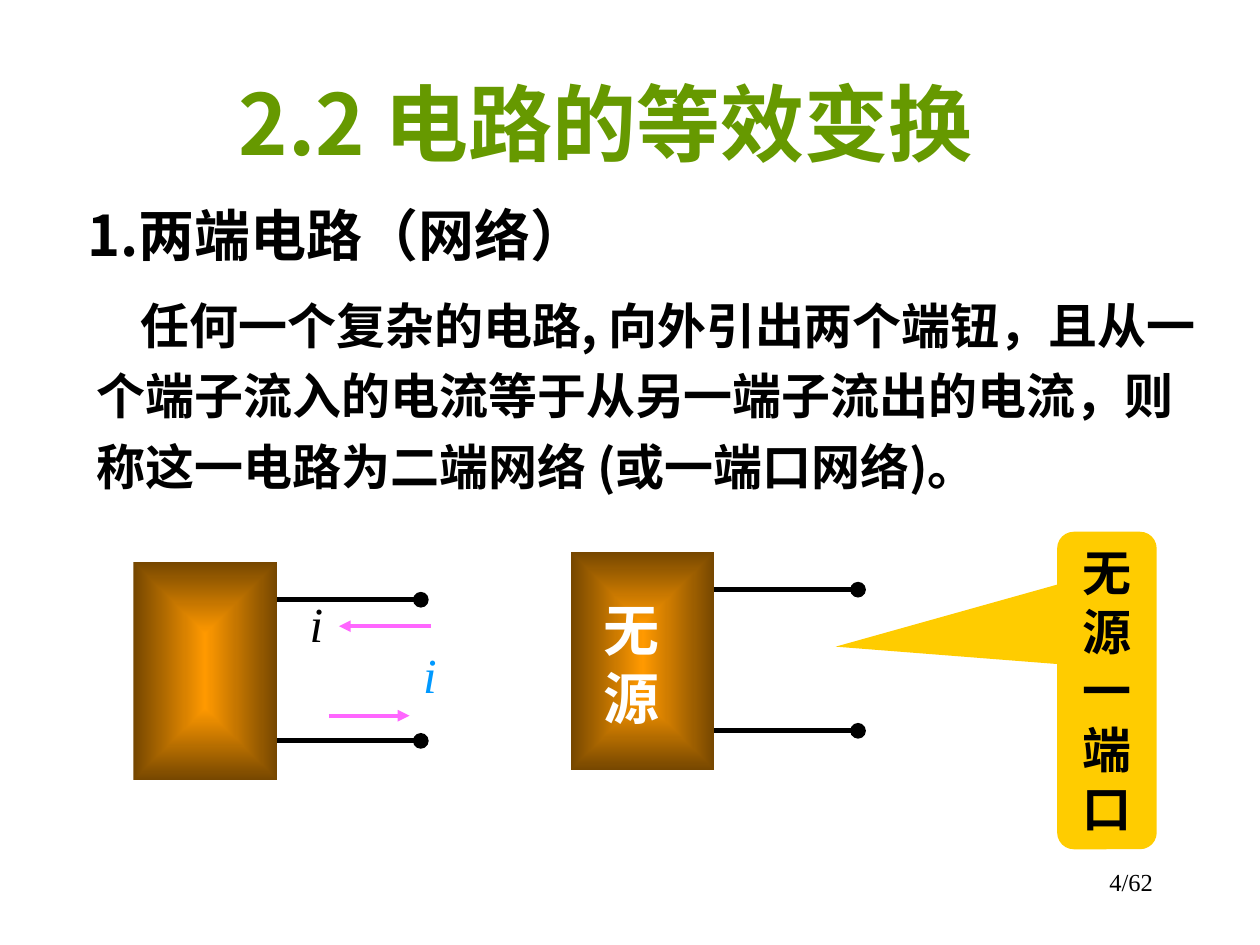
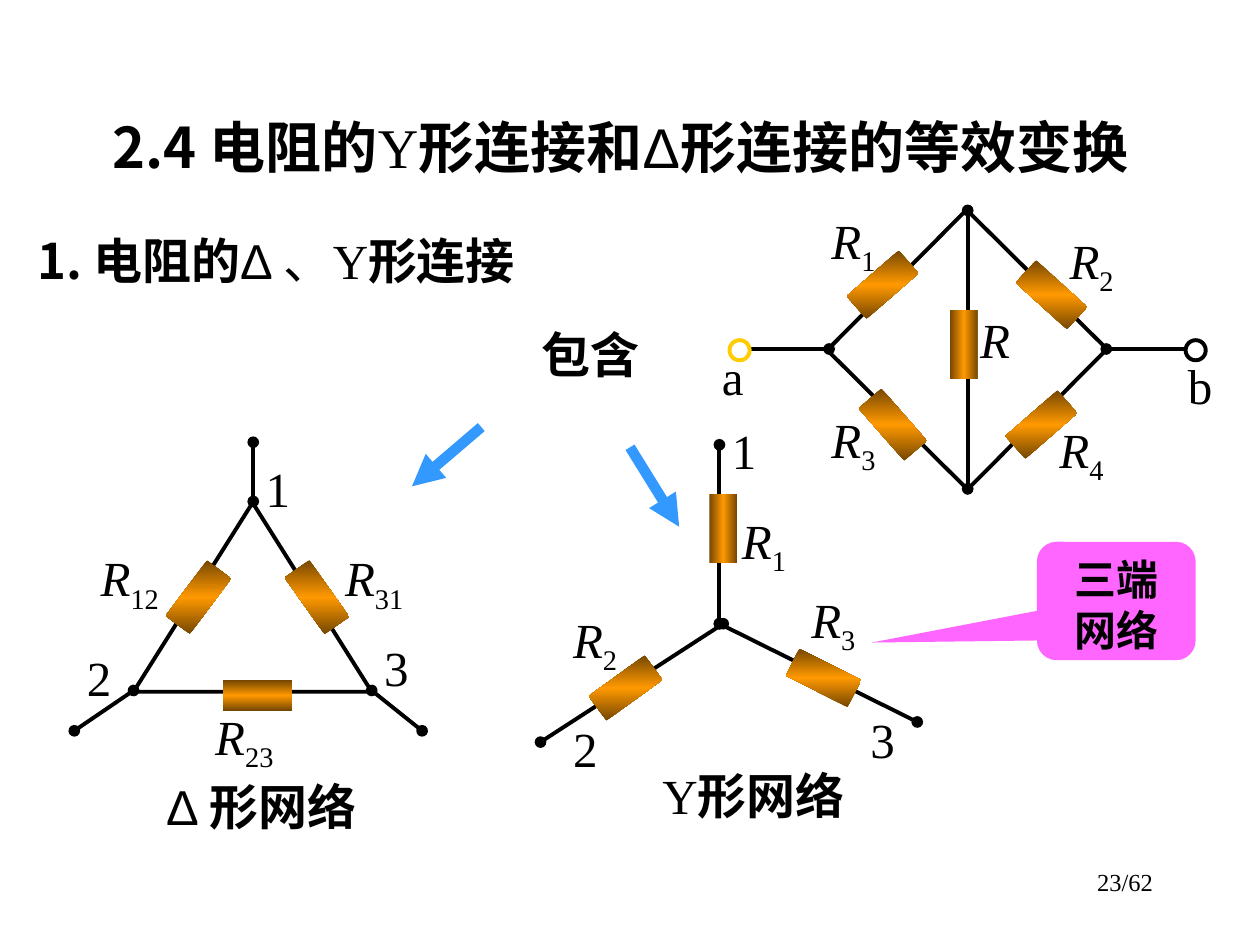
import pptx
import pptx.util
import pptx.dml.color
import pptx.enum.shapes
import pptx.enum.text
import pptx.oxml
import pptx.oxml.ns

Inches = pptx.util.Inches
SHAPE = pptx.enum.shapes.MSO_SHAPE
ALIGN = pptx.enum.text.PP_ALIGN
SANS, SERIF, ARIAL = "Noto Sans CJK SC", "Times New Roman", "Arial"
COLORS = {
    "black": "000000", "white": "FFFFFF", "green": "669900", "orange": "FF9900",
    "brown": "764700", "gold": "FFCC00", "pink": "FF66FF", "sky": "0099FF",
    "blue": "3399FF",
}
PLAIN_SERIF = {"font": SERIF, "bold": False}
PLAIN_ARIAL = {"font": ARIAL, "bold": False}
SUBSCRIPT = {"italic": False, "subscript": True}


def rgb(name):
    return pptx.dml.color.RGBColor.from_string(COLORS[name])


def write(frame, *spans, align=ALIGN.LEFT, line_spacing=1.0, indent=0, **style):
    """Fill a frame with one paragraph; a span is text or (text, style changes)."""
    frame.word_wrap = True
    frame.auto_size = pptx.enum.text.MSO_AUTO_SIZE.NONE
    frame.vertical_anchor = pptx.enum.text.MSO_ANCHOR.TOP
    para = frame.paragraphs[0]
    para.alignment = align
    para.line_spacing = line_spacing
    if indent:
        para._p.get_or_add_pPr().set("indent", str(Inches(indent)))
    for item in spans:
        text, changes = (item, {}) if isinstance(item, str) else item
        look = {"size": 28, "color": "black", "font": SERIF, "bold": False,
                "italic": False, "subscript": False, **style, **changes}
        span = para.add_run()
        span.text = text
        span.font.size = pptx.util.Pt(look["size"])
        span.font.bold = look["bold"]
        span.font.italic = look["italic"]
        span.font.color.rgb = rgb(look["color"])
        span.font.name = look["font"]
        properties = span._r.get_or_add_rPr()
        east_asian = pptx.oxml.parse_xml(
            f'<a:ea {pptx.oxml.ns.nsdecls("a")} typeface="{SANS}"/>')
        properties.find(pptx.oxml.ns.qn("a:latin")).addnext(east_asian)
        if look["subscript"]:
            properties.set("baseline", "-25000")


class SlideBuilder:
    def __init__(self):
        self.deck = pptx.Presentation()
        self.deck.slide_width, self.deck.slide_height = Inches(10), Inches(7.5)
        self.slide = None

    def start(self, page_number, place, *title, **style):
        self.slide = self.deck.slides.add_slide(self.deck.slide_layouts[5])
        heading = self.slide.shapes.title
        heading.left, heading.top, heading.width, heading.height = map(Inches, place)
        write(heading.text_frame, *title, font=SANS, bold=True,
              align=ALIGN.CENTER, **style)
        self.text((7.17, 6.83, 2.08, 0.5), f"{page_number}/62", size=14,
                  align=ALIGN.RIGHT)

    def text(self, place, *spans, **style):
        box = self.slide.shapes.add_textbox(*map(Inches, place))
        write(box.text_frame, *spans, **style)

    def label(self, left, top, width, name, subscript="", **style):
        spans = [name, (subscript, SUBSCRIPT)] if subscript else [name]
        self.text((left, top, width, 0.6), *spans, **style)

    def resistor_labels(self, places):
        for subscript, left, top, width in places:
            self.label(left, top, width, "R", subscript, italic=True)

    def shape(self, kind, place, fill=None, line=None, rotation=0):
        shape = self.slide.shapes.add_shape(kind, *map(Inches, place))
        shape.shadow.inherit = False
        shape.rotation = rotation
        if fill:
            shape.fill.solid()
            shape.fill.fore_color.rgb = rgb(fill)
        else:
            shape.fill.background()
        if line:
            shape.line.color.rgb = rgb(line)
            shape.line.width = pptx.util.Pt(2.25)
        else:
            shape.line.fill.background()
        return shape

    def gradient(self, shape, stops, direction):
        marks = "".join(
            f'<a:gs pos="{position * 1000}"><a:srgbClr val="{COLORS[color]}"/></a:gs>'
            for position, color in stops)
        properties = shape._element.spPr
        properties.replace(
            properties.find(pptx.oxml.ns.qn("a:noFill")),
            pptx.oxml.parse_xml(
                f'<a:gradFill {pptx.oxml.ns.nsdecls("a")} rotWithShape="1">'
                f"<a:gsLst>{marks}</a:gsLst>{direction}</a:gradFill>"))

    def resistor(self, left, top, rotation=0, upright=False):
        """Draw a resistor whose shading runs down the page, or across if upright."""
        size = (0.22, 0.55) if upright else (0.55, 0.24)
        shape = self.shape(SHAPE.RECTANGLE, (left, top, *size), rotation=rotation)
        angle = 0 if upright else (90 - rotation) % 360
        self.gradient(shape, [(0, "brown"), (50, "orange"), (100, "brown")],
                      f'<a:lin ang="{round(angle * 60000)}" scaled="1"/>')

    def line(self, start, end, color="black", width=2.25, head=None, tail=None):
        line = self.slide.shapes.add_connector(
            pptx.enum.shapes.MSO_CONNECTOR.STRAIGHT, *map(Inches, (*start, *end)))
        line.line.color.rgb = rgb(color)
        line.line.width = pptx.util.Pt(width)
        outline = line.line._get_or_add_ln()
        for tag, kind in (("headEnd", head), ("tailEnd", tail)):
            if kind:
                outline.append(pptx.oxml.parse_xml(
                    f'<a:{tag} {pptx.oxml.ns.nsdecls("a")} type="{kind}"/>'))
        line._element.spPr.append(pptx.oxml.parse_xml(
            f'<a:effectLst {pptx.oxml.ns.nsdecls("a")}/>'))

    def wire(self, start, end):
        self.line(start, end, head="oval", tail="oval")

    def callout(self, place, pointer, text, fill=None, size=28):
        shape = self.shape(SHAPE.ROUNDED_RECTANGULAR_CALLOUT, place, fill)
        for index, value in enumerate((*pointer, 0.167)):
            shape.adjustments[index] = value
        write(shape.text_frame, text, size=size, font=ARIAL, bold=True,
              align=ALIGN.CENTER)

    def one_port(self, left, top):
        """Draw a network block with two terminals on its right."""
        width = 1.14
        block = self.shape(SHAPE.RECTANGLE, (left, top, width, 1.73))
        self.gradient(block, [(0, "orange"), (100, "brown")],
                      '<a:path path="rect"><a:fillToRect l="50000" t="50000" '
                      'r="50000" b="50000"/></a:path>')
        for drop in (0.3, 1.42):
            self.line((left + width, top + drop), (left + 2 * width, top + drop),
                      width=3, tail="oval")


def build_two_terminal_slide(builder):
    builder.start(4, (1.22, 0.52, 7.17, 0.9), "2.2 电路的等效变换",
                  size=48, color="green")
    builder.text((0.67, 2.2, 8.98, 1.78),
                 "任何一个复杂的电路, 向外引出两个端钮，且从一个端子流入的电流等于"
                 "从另一端子流出的电流，则称这一电路为二端网络 (或一端口网络)。",
                 font=SANS, bold=True, line_spacing=1.2, indent=0.35)
    builder.text((0.43, 1.54, 4.49, 0.64), "1.两端电路（网络）", size=32,
                 font=SANS, bold=True, align=ALIGN.CENTER)
    builder.one_port(4.53, 4.38)
    builder.text((4.69, 4.68, 0.73, 1.17), "无源", size=32, font=ARIAL,
                 color="white", bold=True)
    builder.callout((8.39, 4.22, 0.79, 2.52), (-2.725, -0.138), "无源一端口", "gold")
    builder.one_port(1.06, 4.46)
    for start, end in (((3.42, 4.97), (2.69, 4.97)), ((2.61, 5.68), (3.25, 5.68))):
        builder.line(start, end, "pink", tail="triangle")
    builder.label(3.26, 5.07, 0.41, "i", color="sky", italic=True)
    builder.label(2.36, 4.66, 0.41, "i", italic=True)


def draw_bridge(builder):
    left, right, middle = 6.58, 8.78, 2.77
    builder.line((5.95, middle), (left, middle), tail="oval")
    builder.wire((7.68, 1.67), (7.68, 3.88))
    builder.line((right, middle), (9.41, middle), head="oval")
    for terminal, color in ((9.41, "black"), (5.79, "gold")):
        builder.shape(SHAPE.OVAL, (terminal, 2.7, 0.16, 0.16), line=color)
    builder.label(9.33, 2.77, 0.39, "b")
    builder.label(5.63, 2.7, 0.39, "a")
    builder.shape(SHAPE.RECTANGLE, (6.89, 1.99, 1.57, 1.57), line="black",
                  rotation=44.8)
    builder.resistor(7.54, 2.46, upright=True)
    for place in ((7.99, 3.25, 318.8), (6.81, 3.25, 48.8),
                  (8.07, 2.22, 42.3), (6.73, 2.14, 318.8)):
        builder.resistor(*place)
    builder.resistor_labels([
        ("1", 6.5, 1.62, 0.79), ("2", 8.39, 1.78, 0.79), ("3", 6.5, 3.2, 0.79),
        ("4", 8.31, 3.28, 0.79), ("", 7.68, 2.41, 0.39)])


def draw_delta(builder):
    builder.shape(SHAPE.ISOSCELES_TRIANGLE, (1.06, 3.99, 1.89, 1.5), line="black")
    for start, end in (((0.59, 5.8), (1.06, 5.48)), ((3.35, 5.8), (2.95, 5.48)),
                       ((2.01, 3.98), (2.01, 3.51))):
        builder.wire(start, end)
    for place in ((2.24, 4.62, 54.8), (1.3, 4.62, 306.8), (1.77, 5.4)):
        builder.resistor(*place)
    builder.resistor_labels([
        ("12", 0.7, 4.3, 0.92), ("31", 2.64, 4.3, 0.8), ("23", 1.61, 5.56, 0.87)])
    for name, left, top in (("1", 2.01, 3.59), ("2", 0.59, 5.09), ("3", 2.95, 5.01)):
        builder.label(left, top, 0.42, name)


def draw_star(builder):
    for start, end in (((5.71, 4.95), (5.71, 3.53)), ((5.74, 4.95), (4.29, 5.89)),
                       ((7.28, 5.73), (5.71, 4.95))):
        builder.wire(start, end)
    builder.resistor(5.63, 3.92, upright=True)
    builder.resistor(4.69, 5.34, 324)
    builder.resistor(6.26, 5.26, 27)
    builder.resistor_labels([
        ("1", 5.79, 4, 0.6), ("2", 4.45, 4.79, 0.6), ("3", 6.34, 4.63, 0.91)])
    for name, left, top in (("1", 5.71, 3.29), ("2", 4.45, 5.65), ("3", 6.81, 5.58)):
        builder.label(left, top, 0.42, name)


def build_star_delta_slide(builder):
    builder.start(23, (0.47, 0.84, 8.91, 0.64), "2.4 电阻的", ("Y", PLAIN_SERIF),
                  "形连接和", ("Δ", PLAIN_ARIAL), "形连接的等效变换", size=32)
    builder.text((0.2, 1.78, 4.96, 0.57), "1. 电阻的", ("Δ", PLAIN_ARIAL),
                 (" 、", {"bold": False}), ("Y", PLAIN_SERIF), "形连接",
                 font=SANS, bold=True)
    builder.text((5.16, 6.03, 1.73, 1.04), ("Y", PLAIN_SERIF), "形网络", bold=True)
    builder.text((1.22, 6.11, 1.97, 0.57), ("Δ ", PLAIN_ARIAL), "形网络", bold=True)
    builder.callout((4.06, 2.49, 1.26, 0.71), (1.194, -0.294), "包含")
    builder.callout((8.23, 4.3, 1.26, 0.94), (-1.541, 0.351), "三端网络", "pink", 24)
    draw_bridge(builder)
    for start, end in (((3.82, 3.39), (3.27, 3.86)), ((5, 3.55), (5.39, 4.18))):
        builder.line(start, end, "blue", 6, tail="triangle")
    draw_delta(builder)
    draw_star(builder)


def main():
    builder = SlideBuilder()
    build_two_terminal_slide(builder)
    build_star_delta_slide(builder)
    builder.deck.save("out.pptx")


if __name__ == "__main__":
    main()
